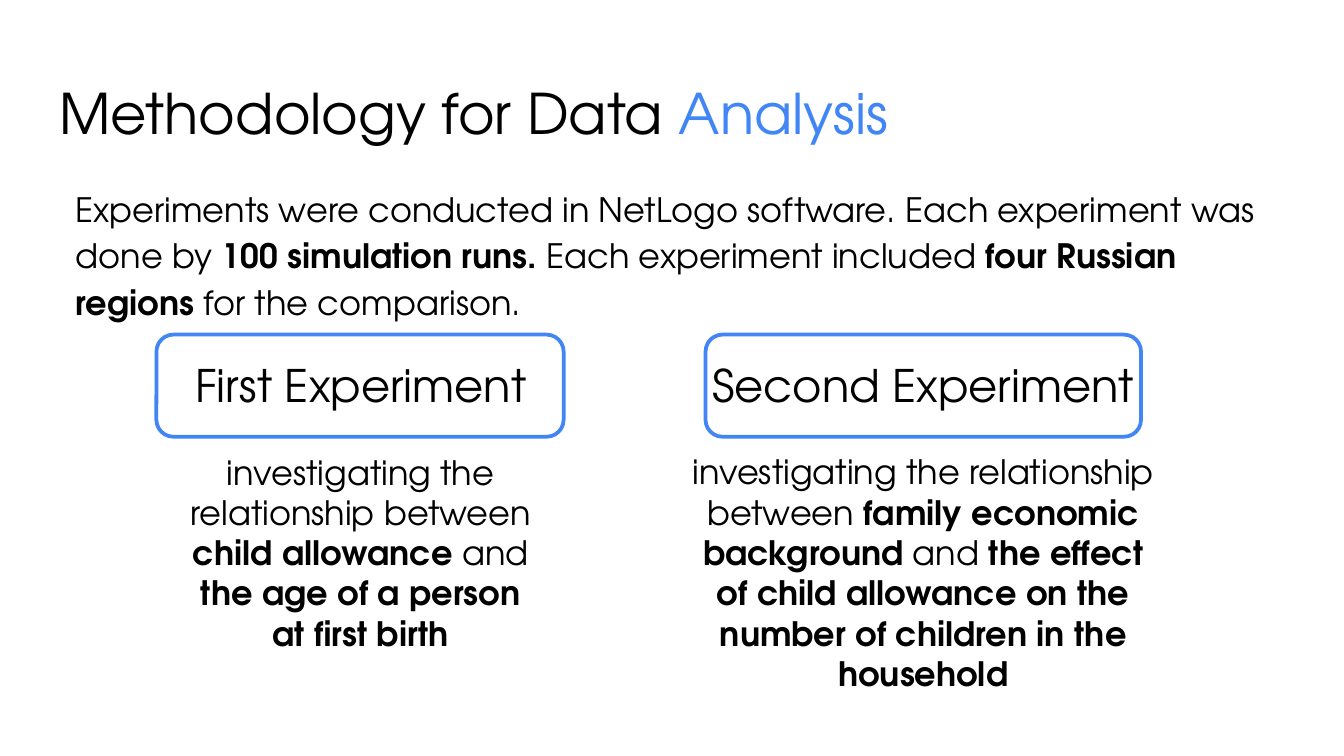
from dataclasses import dataclass
from typing import NamedTuple

from pptx import Presentation
from pptx.dml.color import RGBColor
from pptx.enum.shapes import MSO_SHAPE
from pptx.enum.text import PP_ALIGN
from pptx.util import Inches, Pt

ROUNDED = MSO_SHAPE.ROUNDED_RECTANGLE
LEFT, CENTER = PP_ALIGN.LEFT, PP_ALIGN.CENTER

FONT = "TeX Gyre Adventor"
BLACK, BLUE = "000000", "4285F4"
CELL = 0.1  # side of a grid cell, in inches
COLS = 100
ROWS = COLS * 9 / 16  # widescreen


class Area(NamedTuple):
    """Place on the grid, in columns and rows."""
    col: float
    row: float
    cols: float
    rows: float


class Run(NamedTuple):
    text: str
    bold: bool = False
    color: str = BLACK


@dataclass
class Experiment:
    heading: str
    runs: list[Run]
    text_area: Area
    frame_area: Area


def rgb(color: str) -> RGBColor:
    return RGBColor.from_string(color)


def grid(area: Area) -> list[int]:
    return [Inches(n * CELL) for n in area]


def add_text_box(s, area: Area, inset: tuple[float, float] = (0.1, 0.1)):
    """Add a wrapping text box; inset is left and top in inches."""
    tf = s.shapes.add_textbox(*grid(area)).text_frame
    tf.word_wrap = True
    tf.margin_left, tf.margin_top = map(Inches, inset)
    return tf


def write(p, runs: list[Run], *, size: float, align=LEFT,
          spacing: float = 1.0, before: float = 0) -> None:
    p.alignment = align
    p.line_spacing = spacing
    p.space_before = Pt(before)
    for text, bold, color in runs:
        r = p.add_run()
        r.text = text
        r.font.name = FONT
        r.font.size = Pt(size)
        r.font.bold = bold
        r.font.color.rgb = rgb(color)


def add_frame(s, area: Area) -> None:
    sp = s.shapes.add_shape(ROUNDED, *grid(area))
    sp.shadow.inherit = False
    sp.fill.background()
    sp.line.color.rgb = rgb(BLUE)
    sp.line.width = Pt(2)


def add_experiment(s, e: Experiment) -> None:
    tf = add_text_box(s, e.text_area, inset=(0.1, 0.05))
    write(tf.paragraphs[0], [Run(e.heading)], size=24, align=CENTER)
    write(tf.add_paragraph(), e.runs, size=18, align=CENTER, before=21.6)
    add_frame(s, e.frame_area)


TITLE = [Run("Methodology for Data "), Run("Analysis", color=BLUE)]

INTRO = [
    Run("Experiments were conducted in NetLogo software. "
        "Each experiment was done by "),
    Run("100 simulation runs. ", True),
    Run("Each experiment included "),
    Run("four Russian regions ", True),
    Run("for the comparison."),
]

EXPERIMENTS = [
    Experiment(
        "First Experiment",
        [Run("investigating the relationship between "),
         Run("child allowance ", True),
         Run("and "),
         Run("the age of a person at first birth", True)],
        Area(12.64, 26.1, 28.4, 23.2), Area(11.64, 24.9, 30.3, 7.6)),
    Experiment(
        "Second Experiment",
        [Run("investigating the relationship between "),
         Run("family economic background", True),
         Run(" and "),
         Run("the effect of child allowance on the number of children "
             "in the household", True)],
        Area(50, 26.1, 37.4, 26.3), Area(52.5, 24.9, 32.4, 7.6)),
]


def main() -> None:
    prs = Presentation()
    prs.slide_width, prs.slide_height = Inches(COLS * CELL), Inches(ROWS * CELL)
    s = prs.slides.add_slide(prs.slide_layouts[6])

    # Title and introduction
    title = add_text_box(s, Area(3.44, 4.86, 93.2, 6.3))
    write(title.paragraphs[0], TITLE, size=30)
    intro = add_text_box(s, Area(3.44, 12.6, 93.2, 8.7), inset=(0.22, 0.1))
    write(intro.paragraphs[0], INTRO, size=18, spacing=1.15)

    # Two experiments side by side
    for e in EXPERIMENTS:
        add_experiment(s, e)

    prs.save("out.pptx")


if __name__ == "__main__":
    main()
